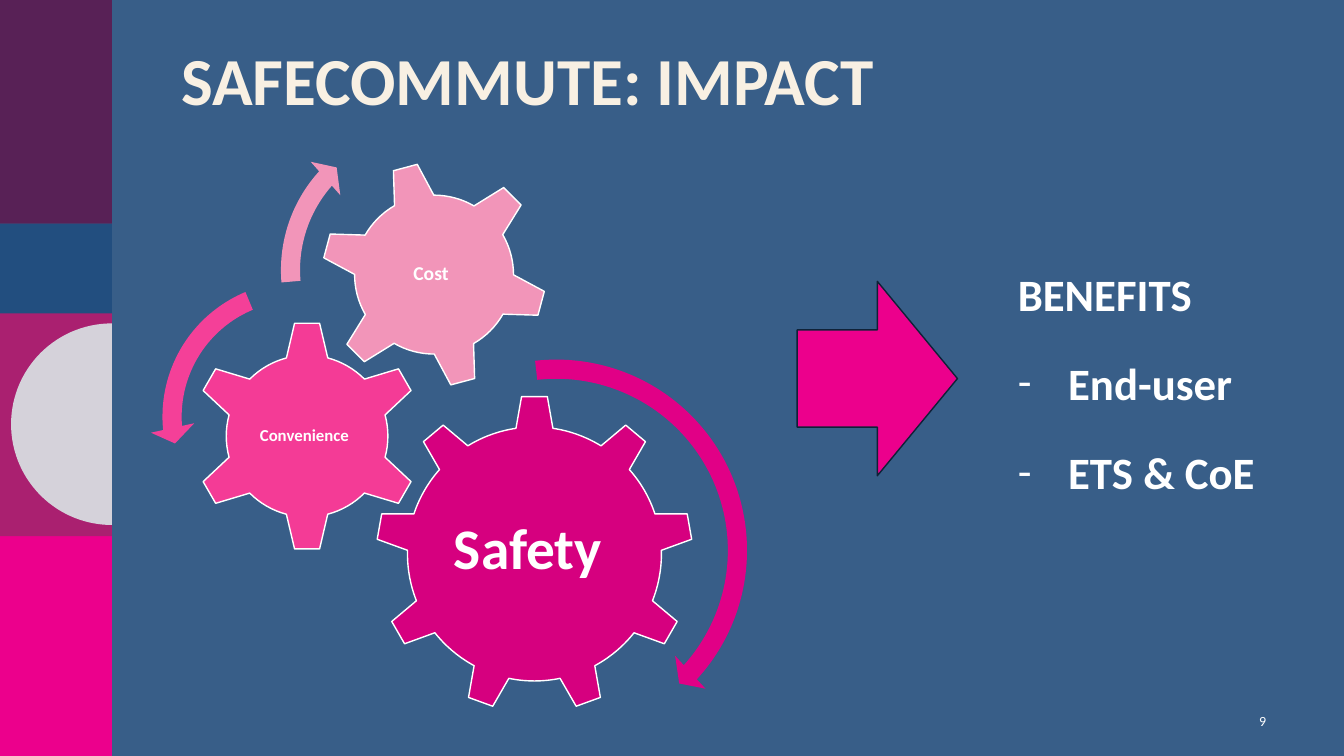
"""Build the impact slide with three gears, turning arrows and benefits."""
from math import cos, pi, sin

from lxml import etree
from pptx import Presentation
from pptx.dml.color import RGBColor
from pptx.enum.shapes import MSO_SHAPE
from pptx.enum.text import MSO_ANCHOR, PP_ALIGN
from pptx.oxml.ns import qn
from pptx.util import Cm, Pt

RECT, ARROW = MSO_SHAPE.RECTANGLE, MSO_SHAPE.RIGHT_ARROW
GEAR6, GEAR9 = MSO_SHAPE.GEAR_6, MSO_SHAPE.GEAR_9
TURN, LEFT_TURN = MSO_SHAPE.CIRCULAR_ARROW, MSO_SHAPE.LEFT_CIRCULAR_ARROW
TOP, MIDDLE = MSO_ANCHOR.TOP, MSO_ANCHOR.MIDDLE
LEFT, CENTER, RIGHT = PP_ALIGN.LEFT, PP_ALIGN.CENTER, PP_ALIGN.RIGHT
FONT = "Calibri"
COLORS = {
    "back": "385E88", "plum": "582156", "blue": "224E7F", "berry": "AA2070",
    "pink": "EC008C", "gray": "D5D2DA", "cream": "F8F0E3", "white": "FFFFFF",
    "navy": "0F2238", "safe": "D6007F", "ease": "F43B96", "cost": "F295B9",
    "safe_turn": "E10086", "ease_turn": "F44098",
}


def color(name):
    return RGBColor.from_string(COLORS[name])


def paint(shape, fill, line=None):
    shape.shadow.inherit = False
    shape.fill.solid()
    shape.fill.fore_color.rgb = color(fill)
    if line:
        shape.line.color.rgb = color(line)
        shape.line.width = Pt(1)
    else:
        shape.line.fill.background()


def add_shape(slide, kind, box, fill, line=None, turn=0, adjust=()):
    shape = slide.shapes.add_shape(kind, *map(Cm, box))
    paint(shape, fill, line)
    shape.rotation = turn
    for i, value in enumerate(adjust):
        shape.adjustments[i] = value
    return shape


def add_dash(para):
    props = para._p.get_or_add_pPr()
    props.set("marL", str(Cm(1.27)))
    props.set("indent", str(-Cm(1.27)))
    etree.SubElement(props, qn("a:buFont")).set("typeface", FONT)
    etree.SubElement(props, qn("a:buChar")).set("char", "-")


def add_text(slide, text, box, size, ink="white", bold=True, align=LEFT,
             anchor=TOP, inset=None, space=1, after=0, dashes=False):
    frame = slide.shapes.add_textbox(*map(Cm, box)).text_frame
    frame.word_wrap = True
    frame.vertical_anchor = anchor
    if inset is not None:
        frame.margin_left = frame.margin_right = Cm(inset)
        frame.margin_top = frame.margin_bottom = Cm(inset)
    for i, words in enumerate(text.split("\n")):
        para = frame.paragraphs[0] if i == 0 else frame.add_paragraph()
        if dashes and i:
            add_dash(para)
        para.alignment = align
        para.line_spacing = space
        para.space_after = Pt(after)
        run = para.add_run()
        run.text = words
        run.font.name, run.font.size, run.font.bold = FONT, Pt(size), bold
        run.font.color.rgb = color(ink)


def add_side(slide):
    bands = [("pink", 13.41, 5.64), ("berry", 7.87, 5.64),
             ("plum", 0, 5.64), ("blue", 5.64, 2.26)]
    for fill, top, height in bands:
        add_shape(slide, RECT, (0, top, 2.82, height), fill)
    radius, steps = 2.54, 60
    points = [(Cm(2.82 - radius * sin(pi * i / steps)),
               Cm(10.69 - radius * cos(pi * i / steps)))
              for i in range(steps + 1)]
    pen = slide.shapes.build_freeform(*points[0])
    pen.add_line_segments(points[1:], close=True)
    paint(pen.convert_to_shape(), "gray")


def add_gear(slide, kind, spot, fill, label, size, area, turn=0, inset=0.05):
    left, top, side = spot
    add_shape(slide, kind, (left, top, side, side), fill, "white", turn)
    add_text(slide, label, area, size, align=CENTER, anchor=MIDDLE,
             inset=inset, space=0.9)


def add_turn(slide, kind, spot, fill, adjust):
    left, top, side = spot
    add_shape(slide, kind, (left, top, side, side), fill, adjust=adjust)


def main():
    deck = Presentation()
    deck.slide_width, deck.slide_height = Cm(33.87), Cm(19.05)
    slide = deck.slides.add_slide(deck.slide_layouts[6])
    slide.background.fill.solid()
    slide.background.fill.fore_color.rgb = color("back")

    add_side(slide)
    add_text(slide, "SAFECOMMUTE: IMPACT", (4.32, 1.07, 27.4, 3.78), 48,
             ink="cream", space=0.9)

    add_gear(slide, GEAR9, (9.47, 9.96, 8), "safe", "Safety ", 41,
             (11.07, 11.84, 4.8, 4.11), inset=0.15)
    add_gear(slide, GEAR6, (4.83, 8.08, 5.82), "ease", "Convenience ", 12,
             (6.27, 9.55, 2.9, 2.87))
    add_gear(slide, GEAR6, (8.08, 4.06, 5.72), "cost", "Cost ", 14,
             (9.32, 5.31, 3.2, 3.2), turn=345)

    add_turn(slide, TURN, (8.89, 8.74, 10.26), "safe_turn",
             (0.047, 2.99, 25.366, 158.18, 0.055))
    add_turn(slide, LEFT_TURN, (3.78, 6.78, 7.44), "ease_turn",
             (0.065, 4.3, 104.891, 148.378, 0.075))
    add_turn(slide, TURN, (6.76, 2.79, 8.03), "cost",
             (0.06, 3.941, 133.138, 105.082, 0.07))

    add_text(slide, "9", (30.89, 17.65, 1.27, 1.02), 10, bold=False,
             align=RIGHT, anchor=MIDDLE)
    add_text(slide, "BENEFITS\nEnd-user\nETS & CoE", (25.4, 5.92, 8.3, 8.28),
             32, space=1.5, after=6, dashes=True)
    add_shape(slide, ARROW, (20.09, 7.09, 4.04, 4.9), "pink", "navy")
    deck.save("out.pptx")


if __name__ == "__main__":
    main()
